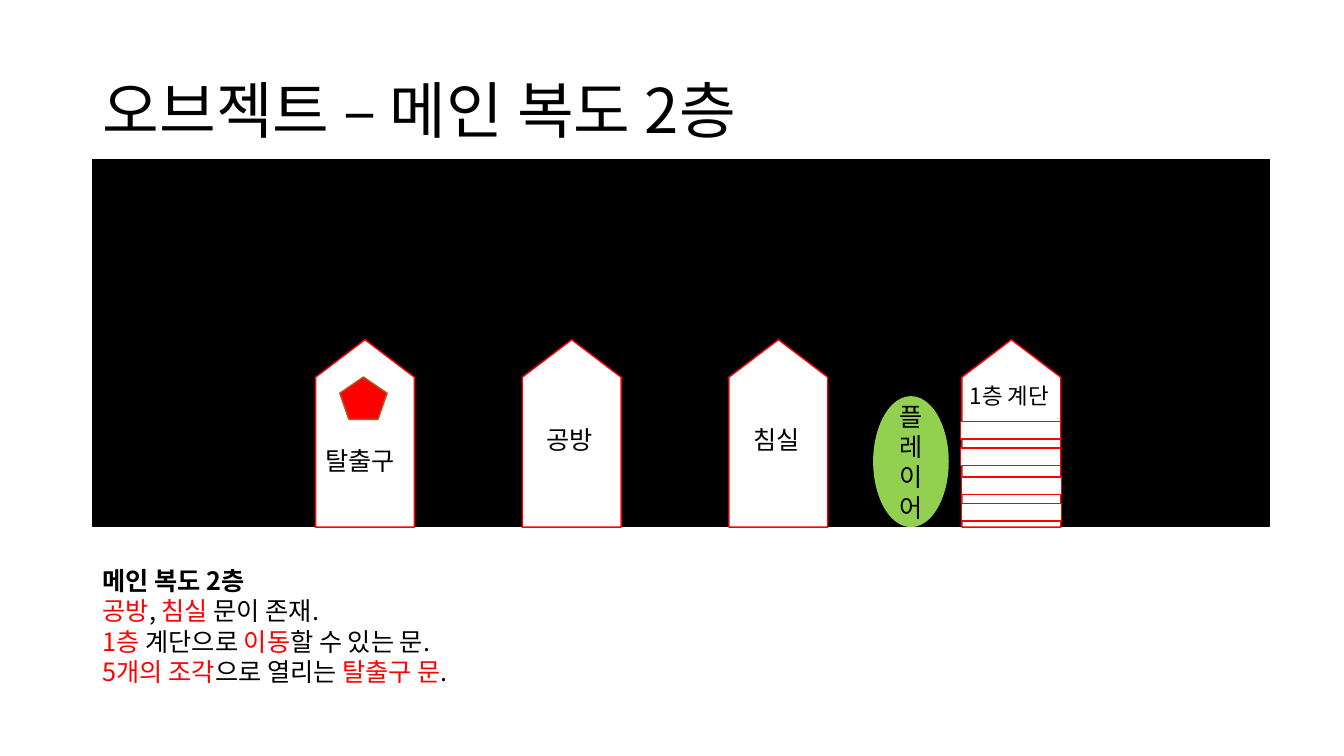
from pptx import Presentation
from pptx.dml.color import RGBColor
from pptx.enum.shapes import MSO_SHAPE
from pptx.enum.text import MSO_ANCHOR, PP_ALIGN
from pptx.util import Inches, Pt
from lxml import etree

RECT = MSO_SHAPE.RECTANGLE
DOOR = MSO_SHAPE.FLOWCHART_OFFPAGE_CONNECTOR
STEPS = MSO_SHAPE.MATH_EQUAL
OVAL = MSO_SHAPE.OVAL
GEM = MSO_SHAPE.REGULAR_PENTAGON
MIDDLE = MSO_ANCHOR.MIDDLE
CENTER = PP_ALIGN.CENTER

BLACK = RGBColor(0, 0, 0)
WHITE = RGBColor(255, 255, 255)
RED = RGBColor(255, 0, 0)
GREEN = RGBColor(0x92, 0xD0, 0x50)
BROWN = RGBColor(0xAF, 0x5C, 0x24)
FONT = "Noto Sans CJK KR"
NS = "{http://schemas.openxmlformats.org/drawingml/2006/main}"

deck = Presentation()
deck.slide_width, deck.slide_height = Inches(13.33), Inches(7.5)
slide = deck.slides.add_slide(deck.slide_layouts[6])


def add_shape(kind, box, fill, line=None):
    shape = slide.shapes.add_shape(kind, *map(Inches, box))
    shape.shadow.inherit = False
    shape.fill.solid()
    shape.fill.fore_color.rgb = fill
    if line is None:
        shape.line.fill.background()
    else:
        shape.line.color.rgb = line
        shape.line.width = Pt(1)
    return shape


def style(run, size, color=BLACK, bold=False):
    font = run.font
    font.name, font.size, font.bold = FONT, Pt(size), bold
    font.color.rgb = color
    # Hangul takes its typeface from the East Asian slot
    east = etree.SubElement(font._element, NS + "ea")
    east.set("typeface", FONT)


# Title
title = slide.shapes.add_textbox(*map(Inches, (0.92, 0.4, 11.5, 1.45)))
frame = title.text_frame
frame.word_wrap = True
frame.vertical_anchor = MIDDLE
frame.text = "오브젝트 – 메인 복도 2층"
frame.paragraphs[0].line_spacing = 0.9
style(frame.paragraphs[0].runs[0], 44)

# Corridor with four doors
add_shape(RECT, (0.92, 1.58, 11.67, 3.64), BLACK, BLACK)
for left in (3.13, 5.18, 7.23, 9.54):
    add_shape(DOOR, (left, 3.37, 0.98, 1.86), WHITE, RED).rotation = 180

# Stairs on the last door
for left, top in ((9.36, 4.58), (9.35, 4.03)):
    add_shape(STEPS, (left, top, 1.35, 0.74), WHITE, RED)

# Player
player = add_shape(OVAL, (8.66, 3.93, 0.75, 1.3), GREEN)
frame = player.text_frame
frame.word_wrap = True
frame.vertical_anchor = MIDDLE
frame.text = "플레이어"
frame.paragraphs[0].alignment = CENTER
style(frame.paragraphs[0].runs[0], 18)

# Door labels
labels = [
    ("탈출구", 3.13, 4.37, 0.98, 18),
    ("공방", 5.32, 4.16, 0.98, 18),
    ("침실", 7.37, 4.16, 0.98, 18),
    ("1층 계단", 9.52, 3.74, 1.11, 16),
]
for text, left, top, width, size in labels:
    label = slide.shapes.add_textbox(*map(Inches, (left, top, width, 0.4)))
    frame = label.text_frame
    frame.word_wrap = True
    frame.text = text
    style(frame.paragraphs[0].runs[0], size)

# Gem on the exit door
add_shape(GEM, (3.37, 3.74, 0.47, 0.42), RED, BROWN)

# Notes under the corridor: red and black runs take turns
notes = [
    ("공방", ", ", "침실", " 문이 존재."),
    ("1층", " 계단으로 ", "이동", "할 수 있는 문."),
    ("5개의 조각", "으로 열리는 ", "탈출구 문", "."),
]
body = slide.shapes.add_textbox(*map(Inches, (0.92, 5.56, 11.67, 1.31)))
frame = body.text_frame
frame.word_wrap = True
frame.text = "메인 복도 2층"
style(frame.paragraphs[0].runs[0], 18, bold=True)
for parts in notes:
    para = frame.add_paragraph()
    for i, part in enumerate(parts):
        run = para.add_run()
        run.text = part
        style(run, 18, BLACK if i % 2 else RED)

deck.save("out.pptx")
